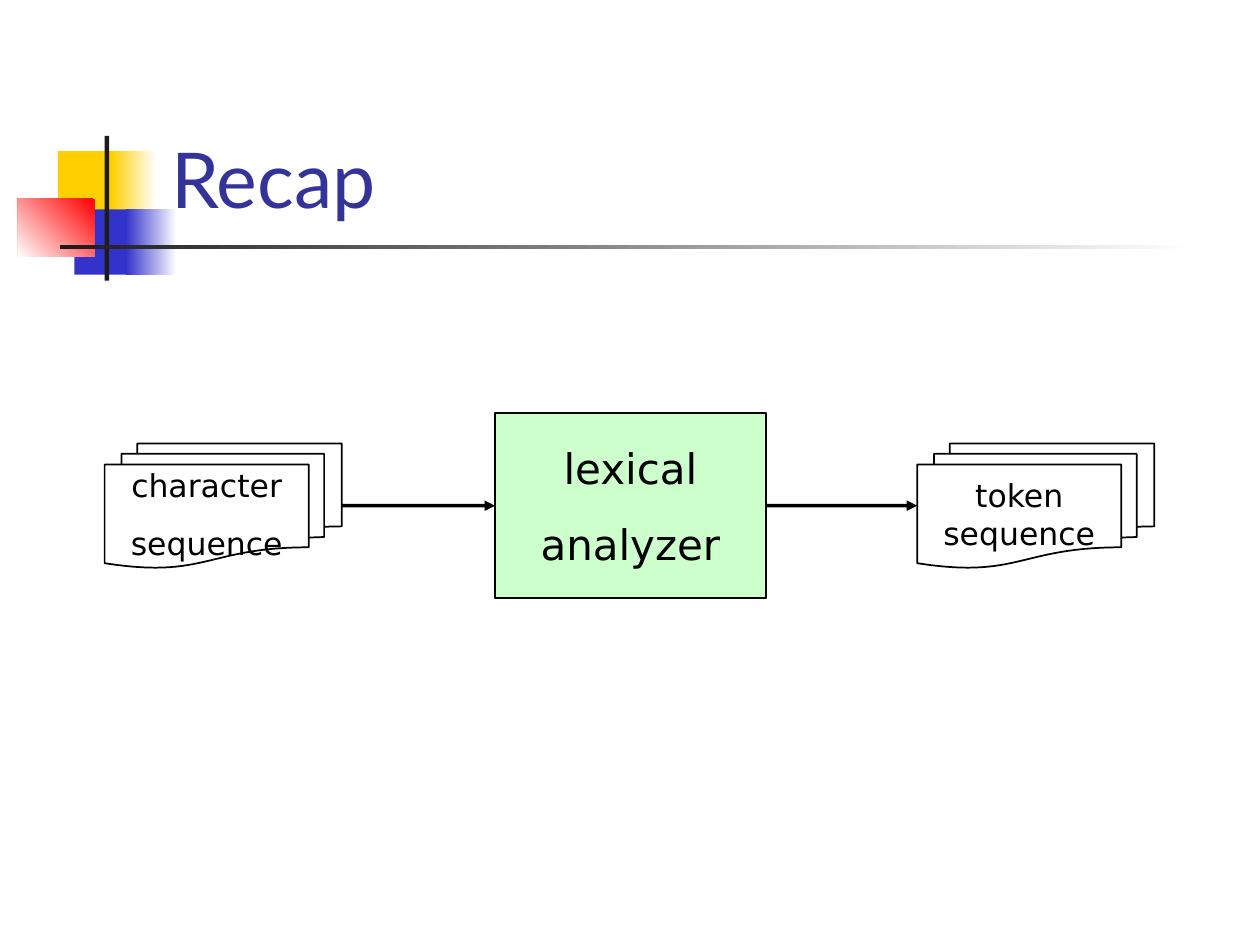
from lxml import etree
from pptx import Presentation
from pptx import util as u
from pptx.dml.color import RGBColor
from pptx.enum import shapes, text
from pptx.oxml.ns import qn

KIND = shapes.MSO_SHAPE
MID = text.MSO_ANCHOR.MIDDLE
LOW = text.MSO_ANCHOR.BOTTOM
CENTER = text.PP_ALIGN.CENTER
INK, DARK, GOLD, BLUE, RED, WHITE = (
    "000000", "1C1C1C", "FFCF01", "3333CC", "FF0000", "FFFFFF")


def color(code):
    return RGBColor.from_string(code)


def assign(item, **values):
    for name, value in values.items():
        setattr(item, name, value)


def add_shape(slide, kind, place, fill=None):
    shape = slide.shapes.add_shape(kind, *map(u.Cm, place))
    shape.shadow.inherit = False
    shape.line.fill.background()
    if fill:
        shape.fill.solid()
        shape.fill.fore_color.rgb = color(fill)
    else:
        shape.fill.background()
    return shape


def add_fade(slide, place, start, end, angle):
    fill = add_shape(slide, KIND.RECTANGLE, place).fill
    fill.gradient()
    fill.gradient_angle = angle
    for stop, code, pos in zip(fill.gradient_stops, (start, end), (0, 1)):
        stop.color.rgb = color(code)
        stop.position = pos


def write(shape, lines, look, para, anchor=MID):
    frame = shape.text_frame
    assign(frame, word_wrap=True, vertical_anchor=anchor)
    frame.text = "\n".join(lines)
    for item in frame.paragraphs:
        assign(item, **para)
        font = item.runs[0].font
        assign(font, **look)


def add_node(slide, kind, place, lines, size, gap, fill=None):
    node = add_shape(slide, kind, place, fill)
    node.line.color.rgb = color(INK)
    node.line.width = u.Pt(1)
    write(node, lines, {"name": "DejaVu Sans", "size": u.Pt(size)},
          {"alignment": CENTER, "space_before": u.Pt(gap)})
    for item in node.text_frame.paragraphs:
        item.runs[0].font.color.rgb = color(INK)
    return node


def add_arrow(slide, source, target):
    arrow = slide.shapes.add_connector(shapes.MSO_CONNECTOR.STRAIGHT, 0, 0, 0, 0)
    arrow.begin_connect(source, 3)
    arrow.end_connect(target, 1)
    arrow.line.color.rgb = color(INK)
    arrow.line.width = u.Pt(2)
    etree.SubElement(arrow.line._get_or_add_ln(), qn("a:tailEnd"), type="triangle")
    etree.SubElement(arrow._element.spPr, qn("a:effectLst"))


def add_title(slide, words):
    title = slide.shapes.add_textbox(*map(u.Cm, (3.2, 0.58, 21.64, 4.06)))
    write(title, [words], {"name": "Lato", "size": u.Pt(44)}, {}, LOW)
    title.text_frame.paragraphs[0].runs[0].font.color.rgb = color("333399")


def add_motif(slide):
    add_shape(slide, KIND.RECTANGLE, (1.17, 3.05, 1.22, 1.32), GOLD)
    add_fade(slide, (2.24, 3.05, 0.91, 1.32), WHITE, GOLD, 180)
    add_shape(slide, KIND.RECTANGLE, (1.5, 4.22, 1.17, 1.32), BLUE)
    add_fade(slide, (2.54, 4.22, 1.02, 1.32), WHITE, BLUE, 180)
    add_fade(slide, (0.36, 4.01, 1.55, 1.17), RED, WHITE, 225)
    add_shape(slide, KIND.RECTANGLE, (2.11, 2.74, 0.09, 2.92), DARK)
    add_fade(slide, (1.22, 4.94, 22.86, 0.09), WHITE, DARK, 180)


def add_flow(slide):
    pages = KIND.FLOWCHART_MULTIDOCUMENT
    chars = add_node(slide, pages, (2.11, 8.94, 4.78, 2.51),
                     ["character", "sequence"], 18, 11.2)
    tokens = add_node(slide, pages, (18.49, 8.94, 4.78, 2.51),
                      ["token sequence"], 18, 11.2)
    lexer = add_node(slide, KIND.FLOWCHART_PROCESS, (9.98, 8.33, 5.46, 3.73),
                     ["lexical", "analyzer"], 24, 15, "CCFFCC")
    add_arrow(slide, chars, lexer)
    add_arrow(slide, lexer, tokens)


def main():
    deck = Presentation()
    assign(deck, slide_width=u.Cm(25.4), slide_height=u.Cm(19.05))
    slide = deck.slides.add_slide(deck.slide_layouts[6])
    add_motif(slide)
    add_title(slide, "Recap")
    add_flow(slide)
    deck.save("out.pptx")


if __name__ == "__main__":
    main()
